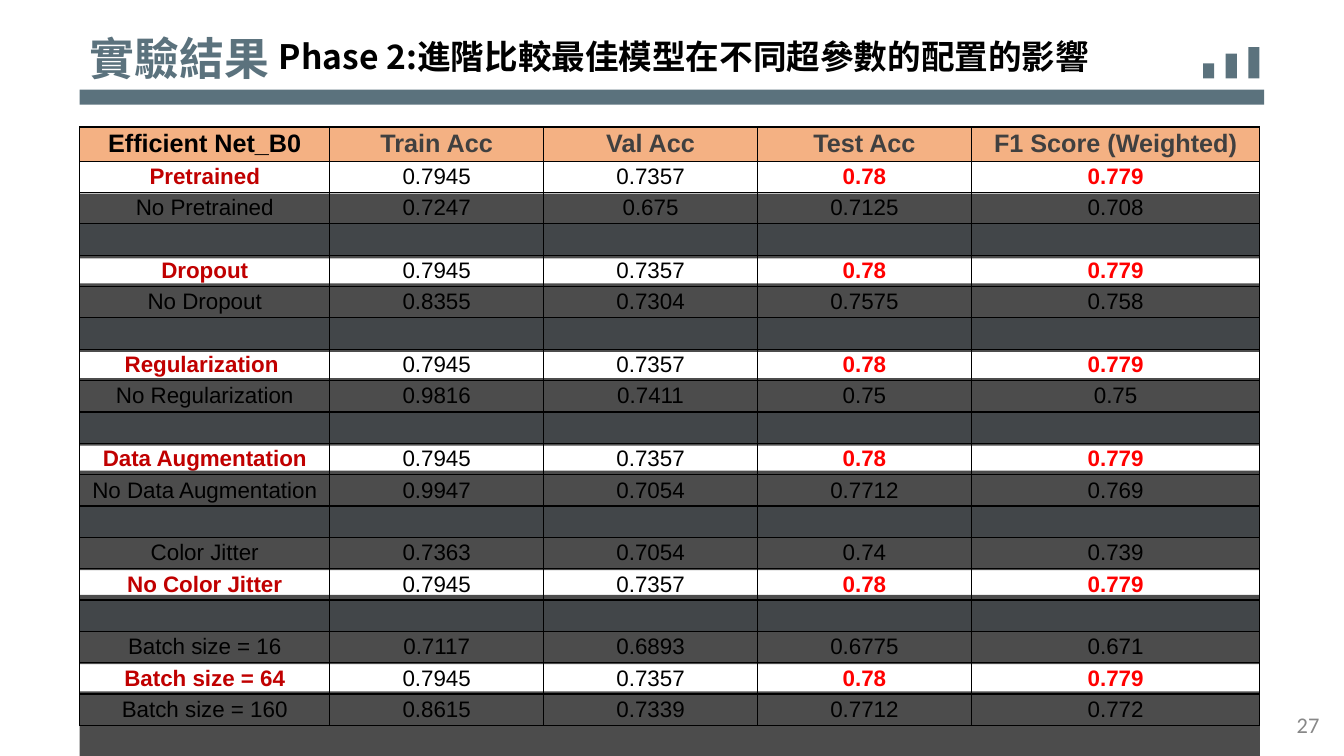
import pptx
import pptx.util
import pptx.dml.color
import pptx.enum.shapes
import pptx.enum.text
import pptx.oxml
import pptx.oxml.ns

Cm = pptx.util.Cm
Pt = pptx.util.Pt
ALIGN = pptx.enum.text.PP_ALIGN
ANCHOR = pptx.enum.text.MSO_ANCHOR

SLATE, BLACK, WHITE = "5B727D", "000000", "FFFFFF"
CJK = "Noto Sans CJK TC"
LEFT = 2.01

HEADERS = ["Efficient Net_B0", "Train Acc", "Val Acc", "Test Acc", "F1 Score (Weighted)"]
BEST = ["0.7945", "0.7357", "0.78", "0.779"]
# Each group is separated from the next by an empty row
GROUPS = [
    [["Pretrained", *BEST], ["No Pretrained", "0.7247", "0.675", "0.7125", "0.708"]],
    [["Dropout", *BEST], ["No Dropout", "0.8355", "0.7304", "0.7575", "0.758"]],
    [["Regularization ", *BEST], ["No Regularization", "0.9816", "0.7411", "0.75", "0.75"]],
    [["Data Augmentation", *BEST],
     ["No Data Augmentation", "0.9947", "0.7054", "0.7712", "0.769"]],
    [["Color Jitter", "0.7363", "0.7054", "0.74", "0.739"], ["No Color Jitter", *BEST]],
    [["Batch size = 16", "0.7117", "0.6893", "0.6775", "0.671"],
     ["Batch size = 64", *BEST],
     ["Batch size = 160", "0.8615", "0.7339", "0.7712", "0.772"]],
]
COLUMN_WIDTHS = [6.3, 5.39, 5.39, 5.39, 7.27]
# Top and height of the dark bands over the weaker settings
BANDS = [(4.88, 1.63), (7.14, 1.73), (9.53, 1.7), (11.86, 2.51), (14.99, 1.75), (17.42, 1.63)]


def rgb(value):
    return pptx.dml.color.RGBColor.from_string(value)


def place(shape, left, top, width, height):
    shape.left, shape.top, shape.width, shape.height = map(Cm, (left, top, width, height))


def add_block(page, left, top, width, height, color, opacity=None):
    block = page.shapes.add_shape(
        pptx.enum.shapes.MSO_SHAPE.RECTANGLE, Cm(left), Cm(top), Cm(width), Cm(height))
    block.shadow.inherit = False
    block.fill.solid()
    block.fill.fore_color.rgb = rgb(color)
    block.line.fill.background()
    if opacity is not None:
        color_node = block.fill._xPr.find(".//" + pptx.oxml.ns.qn("a:srgbClr"))
        pptx.oxml.ns  # namespace helpers
        alpha = pptx.oxml.parse_xml(
            f'<a:alpha {pptx.oxml.ns.nsdecls("a")} val="{opacity * 1000}"/>')
        color_node.append(alpha)


def style_para(para, size, color, name, bold=False, align=ALIGN.LEFT):
    para.alignment = align
    font = para.font
    font.size, font.name, font.bold = Pt(size), name, bold
    font.color.rgb = rgb(color)
    if name == CJK:
        font._element.append(pptx.oxml.parse_xml(
            f'<a:ea {pptx.oxml.ns.nsdecls("a")} typeface="{name}"/>'))


def write_line(box, text, size, color, name, bold=False, align=ALIGN.LEFT, anchor=ANCHOR.TOP):
    frame = box.text_frame
    frame.text = text
    frame.word_wrap = True
    frame.auto_size = pptx.enum.text.MSO_AUTO_SIZE.NONE
    frame.vertical_anchor = anchor
    style_para(frame.paragraphs[0], size, color, name, bold, align)


def add_text(page, left, top, width, height, *args, **options):
    box = page.shapes.add_textbox(Cm(left), Cm(top), Cm(width), Cm(height))
    write_line(box, *args, **options)


def add_borders(cell):
    properties = cell._tc.get_or_add_tcPr()
    for index, side in enumerate(("lnL", "lnR", "lnT", "lnB")):
        properties.insert(index, pptx.oxml.parse_xml(
            f'<a:{side} {pptx.oxml.ns.nsdecls("a")} w="12700"><a:solidFill>'
            f'<a:srgbClr val="{BLACK}"/></a:solidFill></a:{side}>'))


def fill_cell(cell, text, size, color, bold, fill):
    cell.margin_left = cell.margin_right = Cm(0.08)
    cell.margin_top = cell.margin_bottom = Cm(0.05)
    cell.vertical_anchor = ANCHOR.MIDDLE
    cell.text = text
    style_para(cell.text_frame.paragraphs[0], size, color, "Arial", bold, ALIGN.CENTER)
    if fill:
        cell.fill.solid()
        cell.fill.fore_color.rgb = rgb(fill)
    else:
        cell.fill.background()
    add_borders(cell)


def body_style(row, column):
    """Return colour and weight: the best setting of each group stands out."""
    if row[1:] != BEST or column in (1, 2):
        return BLACK, False
    return ("C00000" if column == 0 else "FF0000"), True


def add_results(page):
    rows = []
    for group in GROUPS:
        if rows:
            rows.append([""] * len(HEADERS))
        rows += group
    table = page.shapes.add_table(
        len(rows) + 1, len(HEADERS), Cm(LEFT), Cm(3.2),
        Cm(sum(COLUMN_WIDTHS)), Cm(0.86 + 0.79 * len(rows))).table
    table.first_row = table.horz_banding = False
    for column, width in zip(table.columns, COLUMN_WIDTHS):
        column.width = Cm(width)
    for index, line in enumerate(table.rows):
        line.height = Cm(0.79 if index else 0.86)
    for column, header in enumerate(HEADERS):
        color = "404040" if column else BLACK
        fill_cell(table.cell(0, column), header, 18, color, True, "F4B183")
        for index, row in enumerate(rows, 1):
            fill = None if row[0] else "DEEBF7"
            fill_cell(table.cell(index, column), row[column], 16,
                      *body_style(row, column), fill)


def main():
    deck = pptx.Presentation()
    deck.slide_width, deck.slide_height = Cm(33.87), Cm(19.05)
    page = deck.slides.add_slide(deck.slide_layouts[5])
    page.background.fill.solid()
    page.background.fill.fore_color.rgb = rgb(WHITE)

    # Heading rule and rising bars
    add_block(page, LEFT, 2.26, 29.85, 0.38, SLATE)
    for index, height in enumerate((0.38, 0.63, 0.79)):
        add_block(page, 30.32 + 0.57 * index, 1.98 - height, 0.28, height, SLATE)

    # Title, subtitle and page number
    place(page.shapes.title, LEFT, 0.64, 24.31, 1.63)
    write_line(page.shapes.title, "實驗結果", 32, SLATE, CJK, bold=True)
    add_text(page, 6.78, 0.79, 21.36, 1.27,
             "Phase 2:進階比較最佳模型在不同超參數的配置的影響", 24, BLACK, CJK, bold=True)
    add_text(page, 25.88, 17.75, 7.62, 1.02, "27", 16, "888888", "Calibri",
             align=ALIGN.RIGHT, anchor=ANCHOR.MIDDLE)

    # Results, with the weaker settings dimmed
    add_results(page)
    for top, height in BANDS:
        add_block(page, LEFT, top, 29.74, height, BLACK, opacity=70)

    deck.save("out.pptx")


if __name__ == "__main__":
    main()
